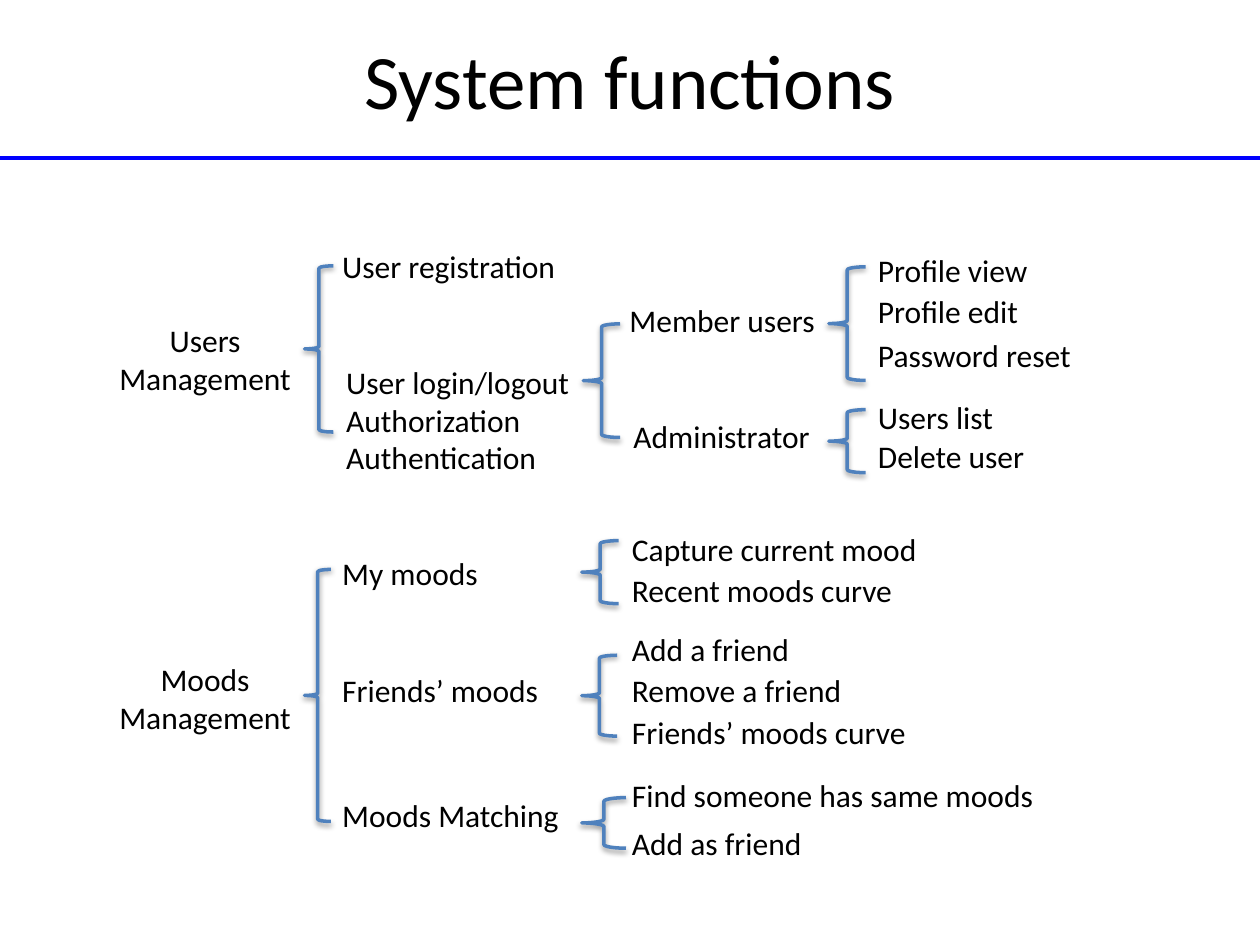
from lxml import etree
from pptx import Presentation
from pptx import util as u
from pptx.dml.color import RGBColor
from pptx.enum import shapes, text
from pptx.oxml.ns import qn

COLORS = {"text": "000000", "rule": "0000FF", "brace": "4F81BD", "shadow": "000000"}
LINE_H = 1.02
LABEL_W, LABEL_H = 4.01, 1.8


def rgb(name):
    return RGBColor.from_string(COLORS[name])


def set_text(shape, lines, size=18, align=text.PP_ALIGN.LEFT, wrap=True,
             anchor=text.MSO_ANCHOR.TOP):
    tf = shape.text_frame
    tf.word_wrap = wrap
    tf.vertical_anchor = anchor
    for i, line in enumerate(lines):
        p = tf.add_paragraph() if i else tf.paragraphs[0]
        p.alignment = align
        r = p.add_run()
        r.text = line
        r.font.size = u.Pt(size)
        r.font.name = "Calibri"
        r.font.color.rgb = rgb("text")


def add_text(g, x, y, w, h, lines, **fmt):
    sp = g.shapes.add_textbox(u.Cm(x), u.Cm(y), u.Cm(w), u.Cm(h))
    set_text(sp, lines, **fmt)
    sp.text_frame.auto_size = text.MSO_AUTO_SIZE.SHAPE_TO_FIT_TEXT


def add_shadow(sp):
    sp.shadow.inherit = False
    effects = sp._element.spPr.find(qn("a:effectLst"))
    shadow = etree.SubElement(effects, qn("a:outerShdw"), blurRad=str(u.Pt(3.1)),
                              dist=str(u.Pt(1.6)), dir="5400000", rotWithShape="0")
    color = etree.SubElement(shadow, qn("a:srgbClr"), val=COLORS["shadow"])
    etree.SubElement(color, qn("a:alpha"), val="38000")


def add_brace(g, x, y, w, h):
    sp = g.shapes.add_shape(shapes.MSO_SHAPE.LEFT_BRACE, u.Cm(x), u.Cm(y), u.Cm(w), u.Cm(h))
    sp.fill.background()
    sp.line.color.rgb = rgb("brace")
    sp.line.width = u.Pt(2)
    add_shadow(sp)


def add_header(s, width, height):
    title = s.shapes.title
    title.left, title.top = u.Cm(1.27), u.Cm(0)
    title.width, title.height = u.Cm(width - 2.54), u.Cm(height)
    set_text(title, ["System functions"], size=44, align=text.PP_ALIGN.CENTER,
             anchor=text.MSO_ANCHOR.MIDDLE)
    rule = s.shapes.add_connector(shapes.MSO_CONNECTOR.STRAIGHT, u.Cm(0), u.Cm(height),
                                  u.Cm(width), u.Cm(height))
    rule.line.color.rgb = rgb("rule")
    rule.line.width = u.Pt(2)
    etree.SubElement(rule._element.spPr, qn("a:effectLst"))


def add_tree(s, left, top, label, label_y, items, braces):
    g = s.shapes.add_group_shape()
    add_text(g, left, top + label_y, LABEL_W, LABEL_H, label,
             align=text.PP_ALIGN.CENTER, wrap=False)
    for x, y, w, *lines in items:
        h = LINE_H if len(lines) == 1 else 2.57
        add_text(g, left + x, top + y, w, h, lines)
    for x, y, w, h in braces:
        add_brace(g, left + x, top + y, w, h)


USER_ITEMS = [
    (4.52, 0, 5.23, "User registration"),
    (4.6, 2.34, 5.23, "User login/logout", "Authorization", "Authentication"),
    (10.31, 1.09, 4.62, "Member users"),
    (10.39, 3.43, 4.19, "Administrator"),
    (15.32, 0.08, 3.71, "Profile view"),
    (15.32, 0.92, 3.71, "Profile edit"),
    (15.32, 1.8, 5, "Password reset"),
    (15.32, 3.05, 3.15, "Users list"),
    (15.32, 3.84, 3.71, "Delete user"),
]
USER_BRACES = [
    (4.01, 0.51, 0.58, 3.35),
    (9.63, 1.68, 0.74, 2.29),
    (14.58, 0.53, 0.74, 2.29),
    (14.58, 3.41, 0.74, 1.27),
]
MOOD_ITEMS = [
    (4.52, 0.48, 4.19, "My moods"),
    (4.52, 2.84, 4.67, "Friends’ moods"),
    (4.52, 5.36, 5.69, "Moods Matching"),
    (10.36, 0, 6.73, "Capture current mood"),
    (10.36, 0.81, 6.73, "Recent moods curve"),
    (10.36, 2, 4.11, "Add a friend"),
    (10.36, 2.84, 5.31, "Remove a friend"),
    (10.36, 3.68, 6.78, "Friends’ moods curve"),
    (10.36, 4.95, 9.86, "Find someone has same moods"),
    (10.36, 5.91, 9.86, "Add as friend"),
]
MOOD_BRACES = [
    (4.01, 0.91, 0.53, 5.08),
    (9.6, 0.33, 0.74, 1.27),
    (9.6, 2.64, 0.71, 1.63),
    (9.6, 5.51, 0.89, 1.02),
]

prs = Presentation()
prs.slide_width, prs.slide_height = u.Cm(25.4), u.Cm(19.05)
s = prs.slides.add_slide(prs.slide_layouts[5])
add_header(s, 25.4, 3.18)
add_tree(s, 2.13, 10.57, ["Moods", "Management"], 2.61, MOOD_ITEMS, MOOD_BRACES)
add_tree(s, 2.13, 4.85, ["Users", "Management"], 1.5, USER_ITEMS, USER_BRACES)
prs.save("out.pptx")
